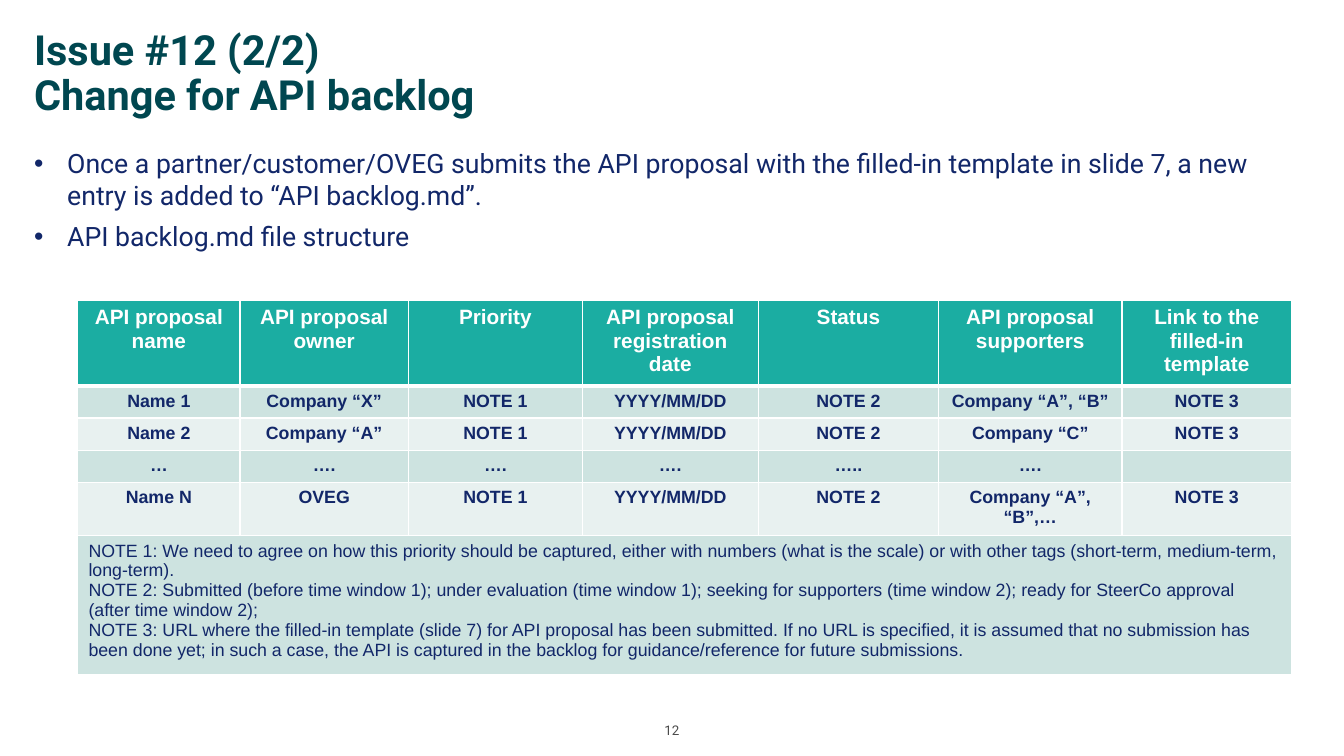
from lxml import etree
from pptx import Presentation
from pptx.dml.color import RGBColor
from pptx.enum.text import MSO_ANCHOR, PP_ALIGN
from pptx.oxml.ns import qn
from pptx.util import Inches, Pt

LEFT, MID = PP_ALIGN.LEFT, PP_ALIGN.CENTER
TOP, BASE = MSO_ANCHOR.TOP, MSO_ANCHOR.BOTTOM

TITLE = ["Issue #12 (2/2)\vChange for API backlog"]
POINTS = [
    "Once a partner/customer/OVEG submits the API proposal with the filled-in template in slide 7, a new entry is added to “API backlog.md”.",
    "API backlog.md file structure",
]
PAGE = ["12"]
HEAD = ["API proposal name", "API proposal owner", "Priority", "API proposal registration date",
        "Status", "API proposal supporters", "Link to the filled-in template"]
ROWS = [
    ["Name 1", "Company “X”", "NOTE 1", "YYYY/MM/DD", "NOTE 2", "Company “A”, “B”", "NOTE 3"],
    ["Name 2", "Company “A”", "NOTE 1", "YYYY/MM/DD", "NOTE 2", "Company “C”", "NOTE 3"],
    ["…", "….", "….", "….", "…..", "….", ""],
    ["Name N", "OVEG", "NOTE 1", "YYYY/MM/DD", "NOTE 2", "Company “A”, “B”,…", "NOTE 3"],
]
NOTES = [
    "NOTE 1: We need to agree on how this priority should be captured, either with numbers (what is the scale) or with other tags (short-term, medium-term, long-term).",
    "NOTE 2: Submitted (before time window 1); under evaluation (time window 1); seeking for supporters (time window 2); ready for SteerCo approval (after time window 2);",
    "NOTE 3: URL where the filled-in template (slide 7) for API proposal has been submitted. If no URL is specified, it is assumed that no submission has been done yet; in such a case, the API is captured in the backlog for guidance/reference for future submissions.",
]
WIDTHS = [1.52, 1.58, 1.63, 1.65, 1.69, 1.72, 1.59]
HEIGHTS = [0, 0.26, 0.26, 0.19, 0, 0]

THEME = {
    "title": ("Roboto", 28, "004750", True),
    "point": ("Roboto", 18, "122769", False),
    "page": ("Roboto", 9, "4B4B4B", False),
    "head": ("Arial", 14, "FFFFFF", True),
    "cell": ("Arial", 12, "122769", True),
    "note": ("Arial", 12, "122769", False),
    "fills": ("1BADA2", "CDE3E0", "E8F1F0"),
    "rule": "FFFFFF",
}


def write(frame, lines, kind, align=LEFT):
    name, size, color, bold = THEME[kind]
    for i, line in enumerate(lines):
        para = frame.add_paragraph() if i else frame.paragraphs[0]
        para.text = line
        para.alignment = align
        font = para.font
        font.name, font.size, font.bold = name, Pt(size), bold
        font.color.rgb = RGBColor.from_string(color)
        if not line:
            etree.SubElement(para._p, qn("a:endParaRPr"), sz=str(size * 100))


def add_text(slide, box, lines, kind, align=LEFT, anchor=TOP):
    frame = slide.shapes.add_textbox(*map(Inches, box)).text_frame
    frame.word_wrap = True
    frame.vertical_anchor = anchor
    frame.margin_left = frame.margin_right = frame.margin_top = frame.margin_bottom = 0
    write(frame, lines, kind, align)
    return frame.paragraphs


def add_bullet(para):
    para.space_before = Pt(6)
    props = para._p.get_or_add_pPr()
    props.set("marL", str(Inches(0.31)))
    props.set("indent", str(-Inches(0.31)))
    face = etree.Element(qn("a:buFont"), typeface="Arial")
    mark = etree.Element(qn("a:buChar"), char="•")
    start = props.index(props.find(qn("a:defRPr")))
    props.insert(start, face)
    props.insert(start + 1, mark)


def style_cell(cell, row):
    props = cell._tc.get_or_add_tcPr()
    for side in "LRTB":
        thick = (row, side) in ((0, "B"), (1, "T"))
        line = etree.SubElement(props, qn(f"a:ln{side}"), w=str(Pt(3 if thick else 1)))
        fill = etree.SubElement(line, qn("a:solidFill"))
        etree.SubElement(fill, qn("a:srgbClr"), val=THEME["rule"])
    shade = 0 if row == 0 else 2 - row % 2
    cell.fill.solid()
    cell.fill.fore_color.rgb = RGBColor.from_string(THEME["fills"][shade])


def add_grid(slide):
    last = len(ROWS) + 1
    box = (0.73, 2.82, sum(WIDTHS), 3.5)
    table = slide.shapes.add_table(last + 1, len(HEAD), *map(Inches, box)).table
    table.horz_banding = False
    for col, width in zip(table.columns, WIDTHS):
        col.width = Inches(width)
    for row, height in zip(table.rows, HEIGHTS):
        row.height = Inches(height)
    for r in range(last + 1):
        for c in range(len(HEAD)):
            style_cell(table.cell(r, c), r)
    for r, row in enumerate([HEAD] + ROWS):
        for c, text in enumerate(row):
            write(table.cell(r, c).text_frame, [text], "cell" if r else "head", MID)
    table.cell(last, 0).merge(table.cell(last, len(HEAD) - 1))
    write(table.cell(last, 0).text_frame, NOTES, "note")


def main():
    deck = Presentation()
    deck.slide_width, deck.slide_height = Inches(12.6), Inches(7.09)
    slide = deck.slides.add_slide(deck.slide_layouts[6])
    add_text(slide, (5.85, 6.73, 0.9, 0.19), PAGE, "page", MID, BASE)
    for para in add_text(slide, (0.32, 0.28, 11.97, 0.86), TITLE, "title"):
        para.line_spacing = 0.9
    add_grid(slide)
    for para in add_text(slide, (0.32, 1.38, 11.72, 0.73), POINTS, "point"):
        add_bullet(para)
    deck.save("out.pptx")


if __name__ == "__main__":
    main()
